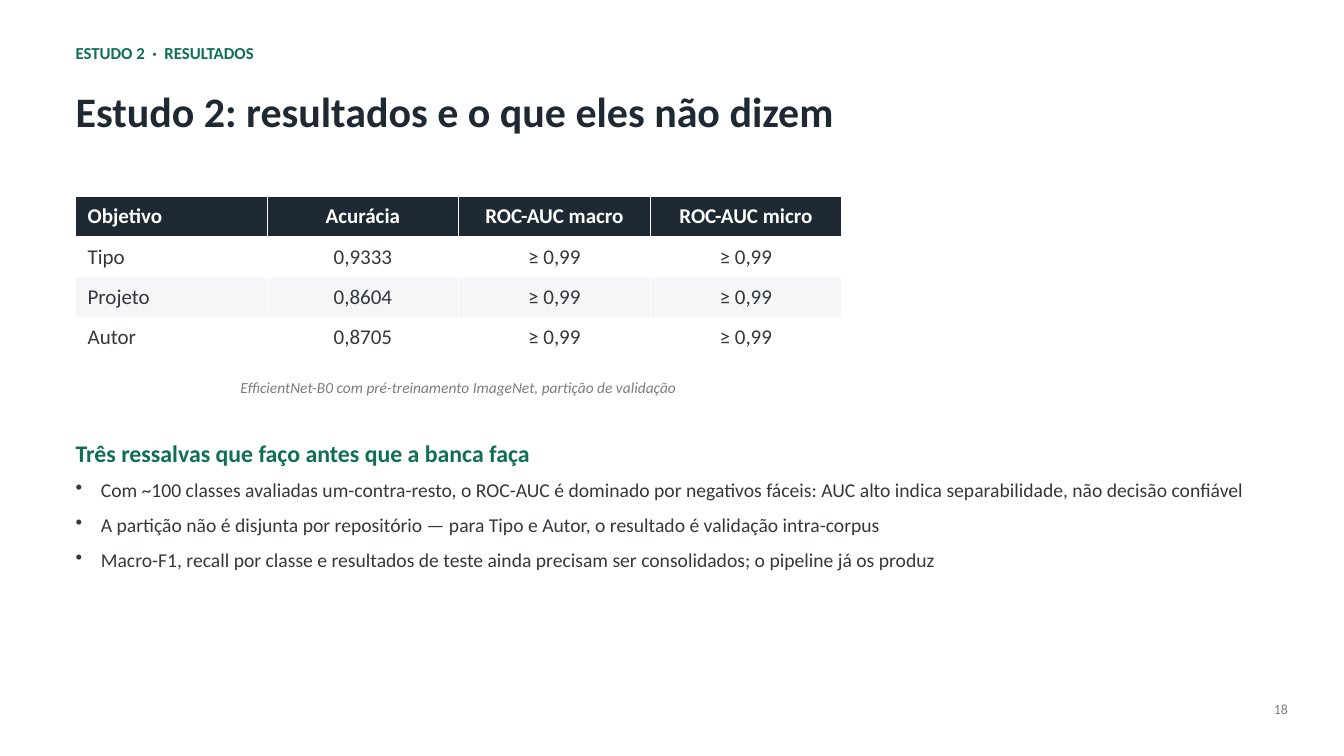
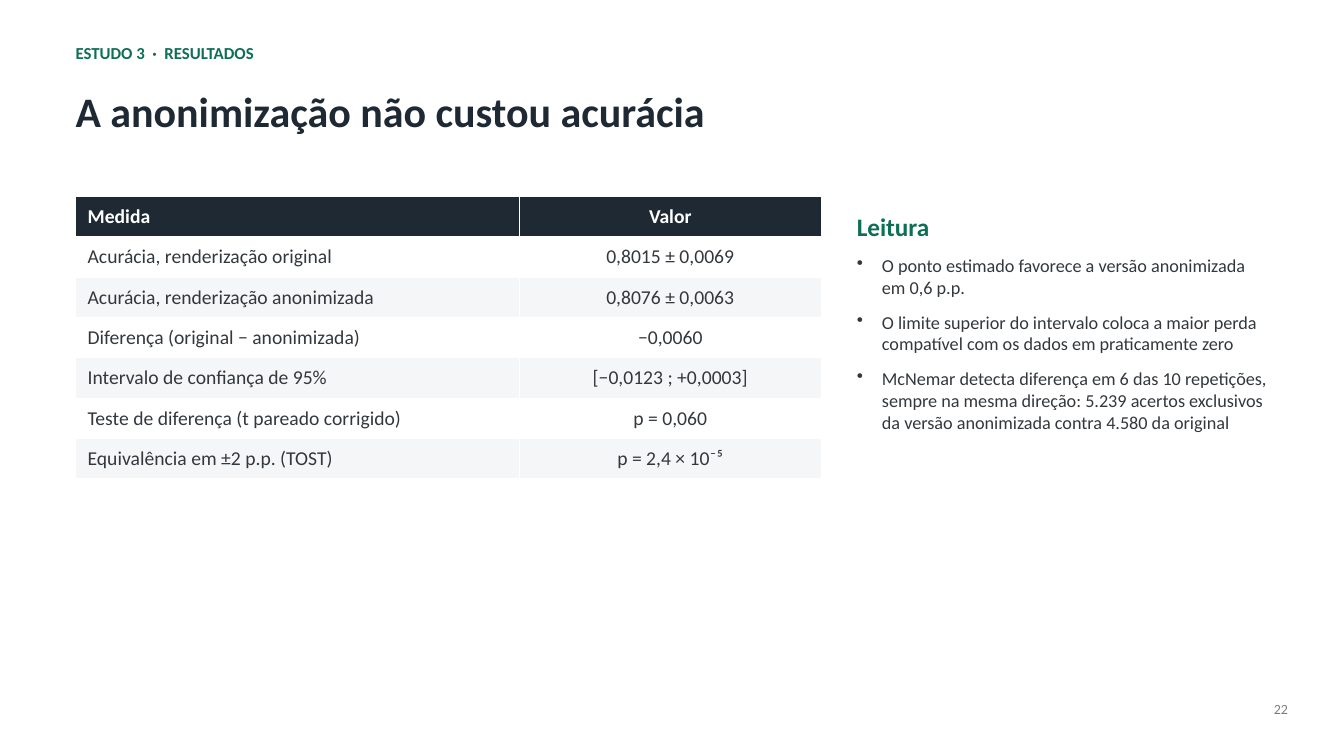
import pptx
import pptx.dml.color
import pptx.enum.text
import pptx.oxml.ns
import pptx.util
from dataclasses import dataclass
from lxml import etree

Pt = pptx.util.Pt
Align = pptx.enum.text.PP_ALIGN
Anchor = pptx.enum.text.MSO_ANCHOR
Fit = pptx.enum.text.MSO_AUTO_SIZE


# Colours, type sizes and the shared grid, in points
@dataclass(frozen=True)
class Theme:
    font: str = "Calibri"
    green: str = "0F6E56"
    dark: str = "1F2933"
    body: str = "33383D"
    grey: str = "777D83"
    white: str = "FFFFFF"
    band: str = "F4F6F7"
    label: int = 12
    title: int = 30
    note: int = 11
    page: int = 10
    left: int = 54
    width: int = 852
    top: float = 140.4
    row: float = 28.8
    indent: int = 18


T = Theme()


# Text
def color(code):
    return pptx.dml.color.RGBColor.from_string(code)


def write(para, text, size, ink=T.body, bold=False, italic=False,
          align=Align.LEFT, before=0):
    para.alignment = align
    para.space_before = Pt(before)
    run = para.add_run()
    run.text = text
    font = run.font
    font.name, font.size = T.font, Pt(size)
    font.bold, font.italic = bold, italic
    font.color.rgb = color(ink)


def frame(shape):
    body = shape.text_frame
    body.margin_left = body.margin_right = 0
    body.margin_top = body.margin_bottom = 0
    body.word_wrap = True
    body.auto_size = Fit.NONE
    body.vertical_anchor = Anchor.TOP
    return body


def box(slide, x, y, w, h):
    return frame(slide.shapes.add_textbox(Pt(x), Pt(y), Pt(w), Pt(h)))


def line(slide, area, text, size, **style):
    write(box(slide, *area).paragraphs[0], text, size, **style)


# XML details: bullets and cell borders
def node(root, tag, **attrs):
    return etree.SubElement(root, pptx.oxml.ns.qn(tag), **attrs)


def bullet(para):
    props = para._p.get_or_add_pPr()
    props.set("marL", str(Pt(T.indent)))
    props.set("indent", str(-Pt(T.indent)))
    node(node(props, "a:buClr"), "a:srgbClr", val=T.body)
    node(props, "a:buChar", char="•")


def border(cell):
    props = cell._tc.get_or_add_tcPr()
    for spot, side in enumerate(("a:lnL", "a:lnR", "a:lnT", "a:lnB")):
        edge = node(props, side, w=str(Pt(0.96)))
        node(node(edge, "a:solidFill"), "a:srgbClr", val=T.white)
        props.insert(spot, edge)


# Content blocks
def table(slide, rows, widths, size):
    grid = slide.shapes.add_table(
        len(rows), len(widths), Pt(T.left), Pt(T.top),
        Pt(sum(widths)), Pt(T.row * len(rows))).table
    grid.horz_banding = False
    for col, width in zip(grid.columns, widths):
        col.width = Pt(width)
    for r, row in enumerate(rows):
        grid.rows[r].height = Pt(T.row)
        head = r == 0
        fill = T.dark if head else (T.band, T.white)[r % 2]
        for c, text in enumerate(row):
            cell = grid.cell(r, c)
            cell.margin_left = cell.margin_right = Pt(8.64)
            cell.margin_top = cell.margin_bottom = Pt(3.6)
            cell.vertical_anchor = Anchor.MIDDLE
            cell.fill.solid()
            cell.fill.fore_color.rgb = color(fill)
            border(cell)
            write(cell.text_frame.paragraphs[0], text, size, bold=head,
                  ink=T.white if head else T.body,
                  align=Align.CENTER if c else Align.LEFT)


def points(slide, area, head, items, large, small, gap):
    body = box(slide, *area)
    write(body.paragraphs[0], head, large, ink=T.green, bold=True)
    for item in items:
        para = body.add_paragraph()
        write(para, item, small, before=gap)
        bullet(para)


# Shared parts of every slide: label, title, page number
def start(deck, label, title, page):
    slide = deck.slides.add_slide(deck.slide_layouts[5])
    name = slide.shapes.title
    name.left, name.top = Pt(T.left), Pt(61.2)
    name.width, name.height = Pt(T.width), Pt(36)
    write(frame(name).paragraphs[0], title, T.title, ink=T.dark, bold=True)
    line(slide, (T.left, 30.24, T.width, 14.4), label, T.label,
         ink=T.green, bold=True)
    line(slide, (862.4, 500.4, 57.6, 12.2), page, T.page,
         ink=T.grey, align=Align.RIGHT)
    return slide


# Slides
def study2(deck):
    slide = start(deck, "ESTUDO 2  ·  RESULTADOS",
                  "Estudo 2: resultados e o que eles não dizem", "18")
    widths = [136.8] * 4
    table(slide, [
        ("Objetivo", "Acurácia", "ROC-AUC macro", "ROC-AUC micro"),
        ("Tipo", "0,9333", "≥ 0,99", "≥ 0,99"),
        ("Projeto", "0,8604", "≥ 0,99", "≥ 0,99"),
        ("Autor", "0,8705", "≥ 0,99", "≥ 0,99"),
    ], widths, 15)
    line(slide, (T.left, 270, sum(widths), 13),
         "EfficientNet-B0 com pré-treinamento ImageNet, partição de validação",
         T.note, ink=T.grey, italic=True, align=Align.CENTER)
    points(slide, (T.left, 313.2, T.width, 95),
           "Três ressalvas que faço antes que a banca faça", [
               "Com ~100 classes avaliadas um-contra-resto, o ROC-AUC é "
               "dominado por negativos fáceis: AUC alto indica "
               "separabilidade, não decisão confiável",
               "A partição não é disjunta por repositório — para Tipo e "
               "Autor, o resultado é validação intra-corpus",
               "Macro-F1, recall por classe e resultados de teste ainda "
               "precisam ser consolidados; o pipeline já os produz",
           ], large=17, small=14, gap=8)


def study3(deck):
    slide = start(deck, "ESTUDO 3  ·  RESULTADOS",
                  "A anonimização não custou acurácia", "22")
    table(slide, [
        ("Medida", "Valor"),
        ("Acurácia, renderização original", "0,8015 ± 0,0069"),
        ("Acurácia, renderização anonimizada", "0,8076 ± 0,0063"),
        ("Diferença (original − anonimizada)", "−0,0060"),
        ("Intervalo de confiança de 95%", "[−0,0123 ; +0,0003]"),
        ("Teste de diferença (t pareado corrigido)", "p = 0,060"),
        ("Equivalência em ±2 p.p. (TOST)", "p = 2,4 × 10⁻⁵"),
    ], [316.8, 216], 14)
    points(slide, (612, 151.2, 295.2, 157.7), "Leitura", [
        "O ponto estimado favorece a versão anonimizada em 0,6 p.p.",
        "O limite superior do intervalo coloca a maior perda compatível "
        "com os dados em praticamente zero",
        "McNemar detecta diferença em 6 das 10 repetições, sempre na mesma "
        "direção: 5.239 acertos exclusivos da versão anonimizada contra "
        "4.580 da original",
    ], large=18, small=13, gap=9)


def main():
    deck = pptx.Presentation()
    deck.slide_width, deck.slide_height = Pt(960), Pt(540)
    study2(deck)
    study3(deck)
    deck.save("out.pptx")


if __name__ == "__main__":
    main()
